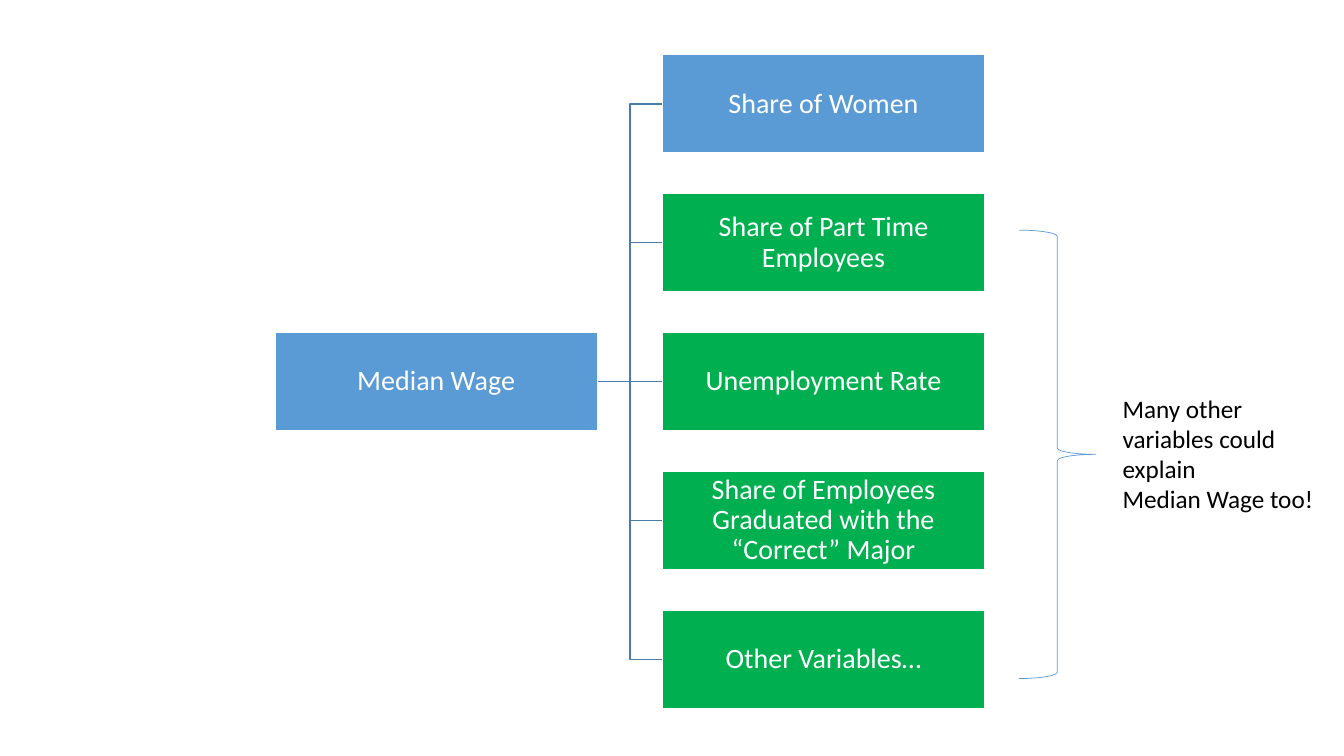
from dataclasses import dataclass

from lxml import etree
from pptx import Presentation
from pptx.dml.color import RGBColor
from pptx.enum.shapes import MSO_CONNECTOR, MSO_SHAPE
from pptx.enum.text import MSO_ANCHOR, MSO_AUTO_SIZE, PP_ALIGN
from pptx.oxml.ns import qn
from pptx.util import Cm, Pt


@dataclass(frozen=True)
class Theme:
    font: str = "Calibri"
    blue: str = "5B9BD5"
    green: str = "00B050"
    link: str = "497CAB"
    white: str = "FFFFFF"
    black: str = "000000"
    box_size: int = 20
    note_size: int = 18


class Diagram:
    def __init__(self, slide, theme):
        self.s = slide
        self.theme = theme

    def run(self, p, text, size, color):
        r = p.add_run()
        r.text = text
        r.font.name = self.theme.font
        r.font.size = Pt(size)
        r.font.color.rgb = RGBColor.from_string(color)

    def box(self, text, x, y, w, h, fill):
        sp = self.s.shapes.add_shape(MSO_SHAPE.RECTANGLE, Cm(x), Cm(y), Cm(w), Cm(h))
        sp.shadow.inherit = False
        sp.fill.solid()
        sp.fill.fore_color.rgb = RGBColor.from_string(fill)
        sp.line.color.rgb = RGBColor.from_string(self.theme.white)
        sp.line.width = Pt(1)
        tf = sp.text_frame
        tf.word_wrap = True
        tf.vertical_anchor = MSO_ANCHOR.MIDDLE
        tf.margin_left = tf.margin_right = tf.margin_top = tf.margin_bottom = Cm(0.03)
        p = tf.paragraphs[0]
        p.alignment = PP_ALIGN.CENTER
        p.line_spacing = 0.9
        self.run(p, text, self.theme.box_size, self.theme.white)
        return sp

    def link(self, start, end):
        """Join the right side of start to the left side of end, behind the boxes."""
        kind = MSO_CONNECTOR.STRAIGHT if start.top == end.top else MSO_CONNECTOR.ELBOW
        c = self.s.shapes.add_connector(kind, 0, 0, 0, 0)
        c.begin_connect(start, 3)
        c.end_connect(end, 1)
        c.line.color.rgb = RGBColor.from_string(self.theme.link)
        c.line.width = Pt(1)
        etree.SubElement(c.element.spPr, qn("a:effectLst"))
        start.element.addprevious(c.element)

    def brace(self, x, y, w, h):
        sp = self.s.shapes.add_shape(MSO_SHAPE.RIGHT_BRACE, Cm(x), Cm(y), Cm(w), Cm(h))
        sp.shadow.inherit = False
        sp.fill.background()
        sp.line.color.rgb = RGBColor.from_string(self.theme.blue)
        sp.line.width = Pt(0.5)

    def note(self, lines, x, y, w, h):
        tf = self.s.shapes.add_textbox(Cm(x), Cm(y), Cm(w), Cm(h)).text_frame
        tf.word_wrap = False
        tf.auto_size = MSO_AUTO_SIZE.SHAPE_TO_FIT_TEXT
        for i, line in enumerate(lines):
            p = tf.add_paragraph() if i else tf.paragraphs[0]
            self.run(p, line, self.theme.note_size, self.theme.black)


BOX_W, BOX_H = 8.13, 2.48
ROOT_X, FACTOR_X = 6.93, 16.69
TOP, STEP = 1.38, 3.5
FACTORS = [
    "Share of Women",
    "Share of Part Time Employees",
    "Unemployment Rate",
    "Share of Employees Graduated with the “Correct” Major",
    "Other Variables…",
]


def main():
    prs = Presentation()
    prs.slide_width, prs.slide_height = Cm(33.87), Cm(19.05)
    theme = Theme()
    d = Diagram(prs.slides.add_slide(prs.slide_layouts[6]), theme)

    middle = TOP + STEP * (len(FACTORS) // 2)
    wage = d.box("Median Wage", ROOT_X, middle, BOX_W, BOX_H, theme.blue)
    for i, text in enumerate(FACTORS):
        fill = theme.green if i else theme.blue
        factor = d.box(text, FACTOR_X, TOP + i * STEP, BOX_W, BOX_H, fill)
        d.link(wage, factor)

    d.brace(25.68, 5.8, 1.93, 11.3)
    d.note(["Many other", "variables could", "explain", "Median Wage too!"],
           28.04, 9.78, 5.38, 3.33)
    prs.save("out.pptx")


if __name__ == "__main__":
    main()
